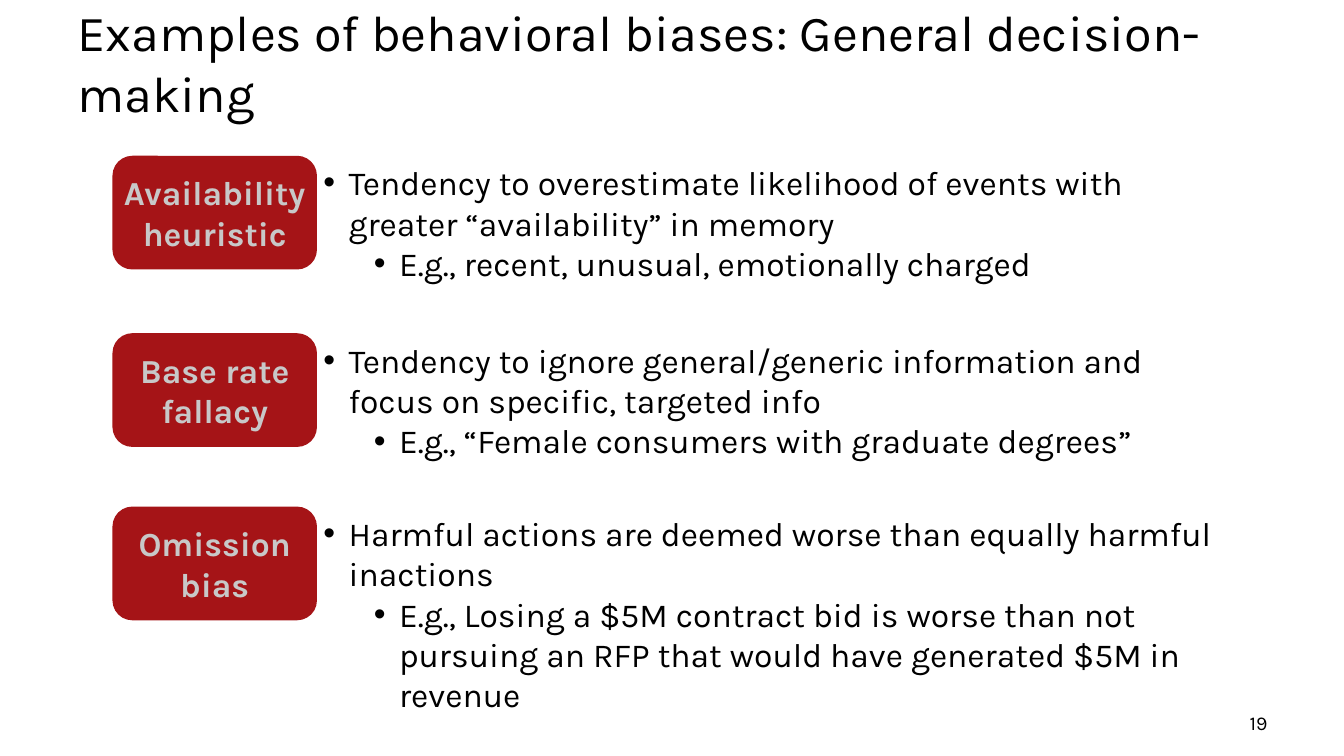
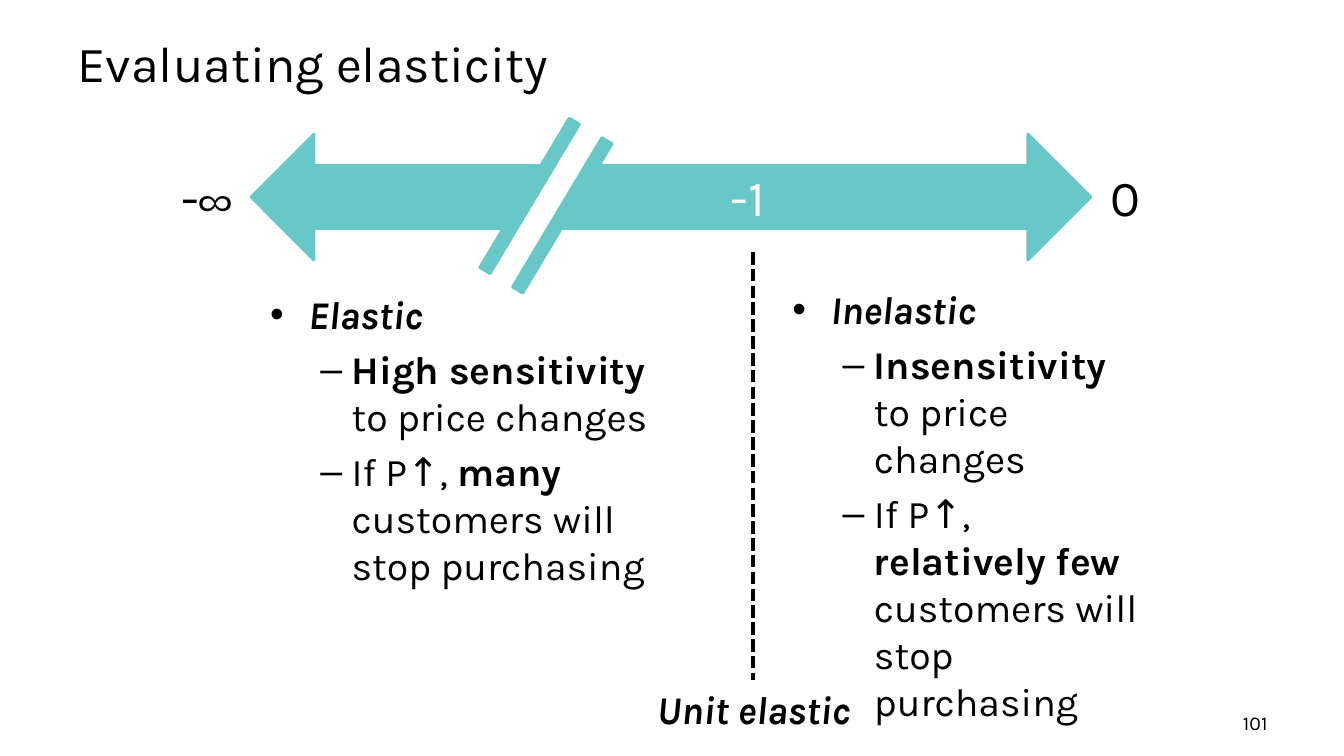
from dataclasses import dataclass

from lxml import etree
from pptx import Presentation
from pptx.dml.color import RGBColor
from pptx.enum.dml import MSO_LINE
from pptx.enum.shapes import MSO_CONNECTOR, MSO_SHAPE
from pptx.enum.text import MSO_ANCHOR, MSO_AUTO_SIZE, PP_ALIGN
from pptx.oxml.ns import qn
from pptx.util import Inches, Pt

LEFT, MID, RIGHT = PP_ALIGN.LEFT, PP_ALIGN.CENTER, PP_ALIGN.RIGHT
TITLE_ONLY = 5


@dataclass(frozen=True)
class Theme:
    font: str = "Karla"
    ink: str = "000000"
    paper: str = "FFFFFF"
    red: str = "A51417"
    gray: str = "C8C8C8"
    teal: str = "67C8C7"
    big: int = 36
    mid: int = 28
    body: int = 24
    small: int = 14
    edge: int = 2


T = Theme()

# A paragraph is (level, runs); a run is (text, style), style holding "b" and "i".
BIASES = {
    "title": "Examples of behavioral biases: General decision-making",
    "page": "19",
    "rows": [
        (1.56, 1.31, "Availability heuristic",
         "Tendency to overestimate likelihood of events with greater “availability” in memory",
         "E.g., recent, unusual, emotionally charged"),
        (3.32, 1.31, "Base rate fallacy",
         "Tendency to ignore general/generic information and focus on specific, targeted info",
         "E.g., “Female consumers with graduate degrees”"),
        (5.04, 1.72, "Omission bias",
         "Harmful actions are deemed worse than equally harmful inactions",
         "E.g., Losing a $5M contract bid is worse than not pursuing an RFP "
         "that would have generated $5M in revenue"),
    ],
}
SCALE = {
    "title": "Evaluating elasticity",
    "page": "101",
    "sides": [
        ((2.58, 2.83, 4.07, 3.12), "Elastic", "High sensitivity ", "many "),
        ((7.76, 2.78, 3.68, 3.59), "Inelastic", "Insensitivity ", "relatively few "),
    ],
    "marks": [("-∞", 1.7, 0.75, T.ink), ("-1", 7.15, 0.61, T.paper),
              ("0", 10.92, 0.46, T.ink)],
    "unit": "Unit elastic",
}
# Per level: left margin, hanging indent, bullet
DOTS = [(0.25, 0.25, "•"), (0.75, 0.25, "•")]
DASHES = [(0.38, 0.38, "•"), (0.81, 0.31, "–")]


def rgb(code):
    return RGBColor.from_string(code)


def inches(box):
    return [Inches(v) for v in box]


def bullet(para, left, hang, mark):
    props = para._p.get_or_add_pPr()
    props.set("marL", str(Inches(left)))
    props.set("indent", str(-Inches(hang)))
    etree.SubElement(props, qn("a:buFont")).set("typeface", "Arial")
    etree.SubElement(props, qn("a:buChar")).set("char", mark)


def write(frame, paras, size, color=T.ink, align=LEFT, levels=None, gap=0):
    for n, (level, runs) in enumerate(paras):
        para = frame.add_paragraph() if n else frame.paragraphs[0]
        para.alignment = align
        para.level = level
        if n and gap:
            para.space_before = Pt(gap)
        if levels:
            bullet(para, *levels[level])
        for text, style in runs:
            run = para.add_run()
            run.text = text
            font = run.font
            font.name, font.size = T.font, Pt(size)
            font.color.rgb = rgb(color)
            font.bold, font.italic = "b" in style, "i" in style


def label(slide, box, paras, size, wrap=True, **look):
    frame = slide.shapes.add_textbox(*inches(box)).text_frame
    frame.word_wrap = wrap
    write(frame, paras, size, **look)


def line(text, style=""):
    return [(0, [(text, style)])]


def block(slide, kind, box, color, edge=T.edge):
    shape = slide.shapes.add_shape(kind, *inches(box))
    shape.shadow.inherit = False
    shape.fill.solid()
    shape.fill.fore_color.rgb = rgb(color)
    if edge:
        shape.line.color.rgb = rgb(color)
        shape.line.width = Pt(edge)
    else:
        shape.line.fill.background()
    return shape


def start(deck, data):
    """Add a slide with its title and page number."""
    slide = deck.slides.add_slide(deck.slide_layouts[TITLE_ONLY])
    title = slide.shapes.title
    title.left, title.top, title.width, title.height = inches((0.67, 0.26, 12, 0.71))
    frame = title.text_frame
    frame.auto_size = MSO_AUTO_SIZE.NONE
    frame.vertical_anchor = MSO_ANCHOR.MIDDLE
    write(frame, line(data["title"]), T.big)
    label(slide, (9.56, 7, 3.11, 0.34), line(data["page"]), T.small, align=RIGHT)
    return slide


def biases(deck):
    slide = start(deck, BIASES)
    for top, high, name, point, case in BIASES["rows"]:
        tag = block(slide, MSO_SHAPE.ROUNDED_RECTANGLE, (1.13, top, 2, 1.1), T.red)
        frame = tag.text_frame
        frame.margin_left = frame.margin_right = 0
        frame.word_wrap = True
        frame.vertical_anchor = MSO_ANCHOR.MIDDLE
        write(frame, line(name, "b"), T.body, T.gray, MID)
        paras = [(0, [(point, "")]), (1, [(case, "")])]
        label(slide, (3.11, top, 9.1, high), paras, T.body, levels=DOTS)


def scale(deck):
    slide = start(deck, SCALE)
    block(slide, MSO_SHAPE.LEFT_RIGHT_ARROW, (2.49, 1.33, 8.33, 1.25), T.teal)
    for text, left, wide, color in SCALE["marks"]:
        label(slide, (left, 1.6, wide, 0.71), line(text), T.big, wrap=False, color=color)

    split = slide.shapes.add_connector(
        MSO_CONNECTOR.STRAIGHT, *inches((7.47, 2.5, 7.47, 6.75)))
    split.line.color.rgb = rgb(T.ink)
    split.line.width = Pt(3)
    split.line.dash_style = MSO_LINE.SQUARE_DOT
    etree.SubElement(split._element.spPr, qn("a:effectLst"))

    for box, name, trait, share in SCALE["sides"]:
        paras = [
            (0, [(name, "bi")]),
            (1, [(trait, "b"), ("to price changes", "")]),
            (1, [("If P↑, ", ""), (share, "b"), ("customers will stop purchasing", "")]),
        ]
        label(slide, box, paras, T.mid, levels=DASHES, gap=T.mid * 0.2)

    gap = block(slide, MSO_SHAPE.RECTANGLE, (4.56, 1.8, 1.71, 0.49), T.paper, edge=0)
    bars = block(slide, MSO_SHAPE.MATH_EQUAL, (4.24, 1.5, 2.35, 1.08), T.teal)
    bars.adjustments[0], bars.adjustments[1] = 0.11, 0.24
    for part in (gap, bars):
        part.rotation = 300.9
    label(slide, (6.39, 6.75, 2.17, 0.57), line(SCALE["unit"], "bi"), T.mid, align=MID)


def main():
    deck = Presentation()
    deck.slide_width, deck.slide_height = Inches(13.33), Inches(7.5)
    biases(deck)
    scale(deck)
    deck.save("out.pptx")


if __name__ == "__main__":
    main()
